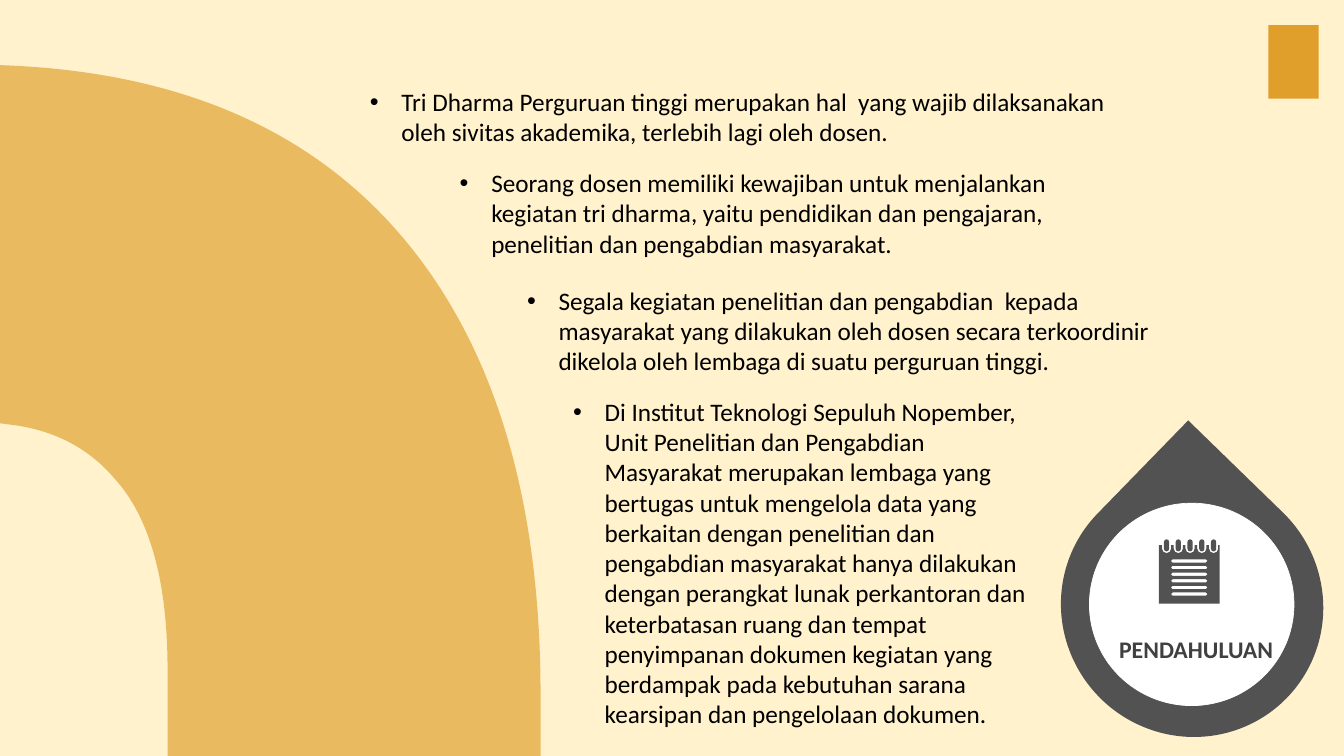
import lxml.etree
import pptx
import pptx.dml.color
import pptx.enum.shapes
import pptx.enum.text
import pptx.oxml.ns
import pptx.util

COLUMNS, ROWS = 160, 90
CELL = pptx.util.Inches(1 / 12)
GOLD, CREAM, CHARCOAL, WHITE = "E09F2B", "FFF2CC", "525252", "FFFFFF"
SHAPES = pptx.enum.shapes.MSO_SHAPE
GROW = pptx.enum.text.MSO_AUTO_SIZE.SHAPE_TO_FIT_TEXT
BODY_FONT = {"name": "Calibri", "size": pptx.util.Pt(18)}
TITLE_FONT = {"name": "Calibri", "size": pptx.util.Pt(17), "bold": True}
BULLET_INDENT = 3.75
ROUNDING = 0.55

# Each entry: left, top, width, height in cells, then the wording.
POINTS = [
    (42.85, 9.7, 90.6, 8.5,
     "Tri Dharma Perguruan tinggi merupakan hal  yang wajib dilaksanakan "
     "oleh sivitas akademika, terlebih lagi oleh dosen."),
    (53.55, 19.35, 80, 12.1,
     "Seorang dosen memiliki kewajiban untuk menjalankan kegiatan tri dharma, "
     "yaitu pendidikan dan pengajaran, penelitian dan pengabdian masyarakat."),
    (61.56, 33.36, 80, 12.1,
     "Segala kegiatan penelitian dan pengabdian  kepada masyarakat yang "
     "dilakukan oleh dosen secara terkoordinir dikelola oleh lembaga di suatu "
     "perguruan tinggi."),
    (67.05, 46.59, 59.6, 41.15,
     "Di Institut Teknologi Sepuluh Nopember, Unit Penelitian dan Pengabdian  "
     "Masyarakat merupakan lembaga yang bertugas untuk mengelola data yang "
     "berkaitan dengan penelitian dan pengabdian masyarakat hanya dilakukan "
     "dengan perangkat lunak perkantoran dan keterbatasan ruang dan tempat "
     "penyimpanan dokumen kegiatan yang berdampak pada kebutuhan sarana "
     "kearsipan dan pengelolaan dokumen."),
]


def cells(*counts):
    return [pptx.util.Emu(round(count * CELL)) for count in counts]


def colour(value):
    return pptx.dml.color.RGBColor.from_string(value)


def apply(target, values):
    for name, value in values.items():
        setattr(target, name, value)


def paint(shape, fill, line=None):
    shape.shadow.inherit = False
    shape.fill.solid()
    shape.fill.fore_color.rgb = colour(fill)
    if line:
        shape.line.color.rgb = colour(line)
        shape.line.width = pptx.util.Pt(0.5)
    else:
        shape.line.fill.background()


def add_block(page, kind, area, fill, line=None):
    shape = page.shapes.add_shape(kind, *cells(*area))
    paint(shape, fill, line)
    return shape


def add_outline(page, contours, fill):
    """Draw contours as one shape: a start, then lines (1 point) and curves (3)."""
    builder = page.shapes.build_freeform(*cells(*contours[0][0]), scale=1.0)
    for index, (start, *segments) in enumerate(contours):
        if index:
            builder.move_to(*cells(*start))
        corners = [cells(*point) for segment in segments for point in segment]
        builder.add_line_segments(corners, close=True)
    shape = builder.convert_to_shape()
    steps = iter(list(shape._element.iter(pptx.oxml.ns.qn("a:lnTo"))))
    for _, *segments in contours:
        for segment in segments:
            group = [next(steps) for _ in segment]
            if len(group) == 3:
                bend_lines(group)
    paint(shape, fill)
    return shape


def bend_lines(group):
    """Turn three line steps into one cubic curve."""
    curve = lxml.etree.Element(pptx.oxml.ns.qn("a:cubicBezTo"))
    group[0].addprevious(curve)
    for step in group:
        curve.append(step[0])
        step.getparent().remove(step)


def set_opacity(shape, percent):
    tint = shape._element.find(".//" + pptx.oxml.ns.qn("a:srgbClr"))
    alpha = lxml.etree.SubElement(tint, pptx.oxml.ns.qn("a:alpha"))
    alpha.set("val", str(percent * 1000))


def quarter(start, corner, end):
    """Curve segment that rounds off a corner."""
    handles = [tuple(a + ROUNDING * (b - a) for a, b in zip(point, corner))
               for point in (start, end)]
    return [*handles, end]


def ring(x, top, bottom, r):
    upper, lower = top + r, bottom - r
    return [
        (x, top),
        quarter((x, top), (x + r, top), (x + r, upper)),
        [(x + r, lower)],
        quarter((x + r, lower), (x + r, bottom), (x, bottom)),
        quarter((x, bottom), (x - r, bottom), (x - r, lower)),
        [(x - r, upper)],
        quarter((x - r, upper), (x - r, top), (x, top)),
    ]


def rule(left, right, y, r):
    top, bottom, start, end = y - r, y + r, left + r, right - r
    return [
        (start, top),
        quarter((start, top), (left, top), (left, y)),
        quarter((left, y), (left, bottom), (start, bottom)),
        [(end, bottom)],
        quarter((end, bottom), (right, bottom), (right, y)),
        quarter((right, y), (right, top), (end, top)),
    ]


def notch(x, top, middle, r):
    bottom, left, right = middle + r, x - r, x + r
    return [
        [(left, top)],
        [(left, middle)],
        quarter((left, middle), (left, bottom), (x, bottom)),
        quarter((x, bottom), (right, bottom), (right, middle)),
        [(right, top)],
    ]


def add_arch(page):
    contour = [
        (0, 7.75),
        [(0.96, 7.8)],
        [(20.9, 8.65), (36.25, 15.1), (47.05, 27.25)],
        [(58.55, 40.2), (64.35, 58.7), (64.35, 82.7)],
        [(64.35, ROWS)],
        [(19.95, ROWS)],
        [(19.95, 79.7)],
        [(19.95, 69.1), (17.8, 61.55), (13.65, 57)],
        [(10.7, 53.5), (6.7, 51.35), (1.9, 50.65)],
        [(0, 50.4)],
    ]
    set_opacity(add_outline(page, [contour], GOLD), 67)


def add_notepad(page):
    left, top, right, bottom = 137.95, 64.9, 145.2, 71.85
    ring_centres = [138.88 + 1.4 * i for i in range(5)]
    sheet = [(left, top)]
    for x in ring_centres:
        sheet += notch(x, top, 65.3, 0.55)
    sheet += [[(right, top)], [(right, bottom)], [(left, bottom)]]
    rings = [ring(x, 64.2, 65.65, 0.31) for x in ring_centres]
    rules = [rule(139.4, 143.75, 66.78 + 0.79 * i, 0.19) for i in range(6)]
    add_outline(page, [*rules, sheet, *rings], CHARCOAL)


def write(paragraph, text, font, tint):
    span = paragraph.add_run()
    span.text = text
    apply(span.font, font)
    span.font.color.rgb = colour(tint)


def add_point(page, left, top, width, height, text):
    box = page.shapes.add_textbox(*cells(left, top, width, height))
    apply(box.text_frame, {"word_wrap": True, "auto_size": GROW})
    para = box.text_frame.paragraphs[0]
    indent, = cells(BULLET_INDENT)
    settings = para._p.get_or_add_pPr()
    apply_indent = {"marL": indent, "indent": -indent}
    for name, value in apply_indent.items():
        settings.set(name, str(value))
    for tag, name, value in (("a:buFont", "typeface", "Arial"), ("a:buChar", "char", "•")):
        lxml.etree.SubElement(settings, pptx.oxml.ns.qn(tag)).set(name, value)
    write(para, text, BODY_FONT, "000000")


def place_title(page, text, area):
    title = page.shapes.title
    page.shapes._spTree.append(title._element)
    apply(title, dict(zip(("left", "top", "width", "height"), cells(*area))))
    middle = pptx.enum.text.MSO_ANCHOR.MIDDLE
    apply(title.text_frame, {"word_wrap": True, "auto_size": GROW, "vertical_anchor": middle})
    para = title.text_frame.paragraphs[0]
    para.alignment = pptx.enum.text.PP_ALIGN.CENTER
    write(para, text, TITLE_FONT, "404040")


def main():
    deck = pptx.Presentation()
    deck.slide_width, deck.slide_height = cells(COLUMNS, ROWS)
    page = deck.slides.add_slide(deck.slide_layouts.get_by_name("Title Only"))
    page.background.fill.solid()
    page.background.fill.fore_color.rgb = colour(CREAM)

    add_block(page, SHAPES.RECTANGLE, (151, 3, 6, 8.75), GOLD)
    add_arch(page)
    drop = add_block(page, SHAPES.TEAR, (126.42, 56.4, 31, 31.45), CHARCOAL)
    drop.rotation = 314.2
    add_block(page, SHAPES.OVAL, (129.7, 59.9, 24.35, 24.1), WHITE, WHITE)
    place_title(page, "PENDAHULUAN", (124.3, 74.95, 36.2, 4.7))
    add_notepad(page)
    for point in POINTS:
        add_point(page, *point)
    deck.save("out.pptx")


if __name__ == "__main__":
    main()
